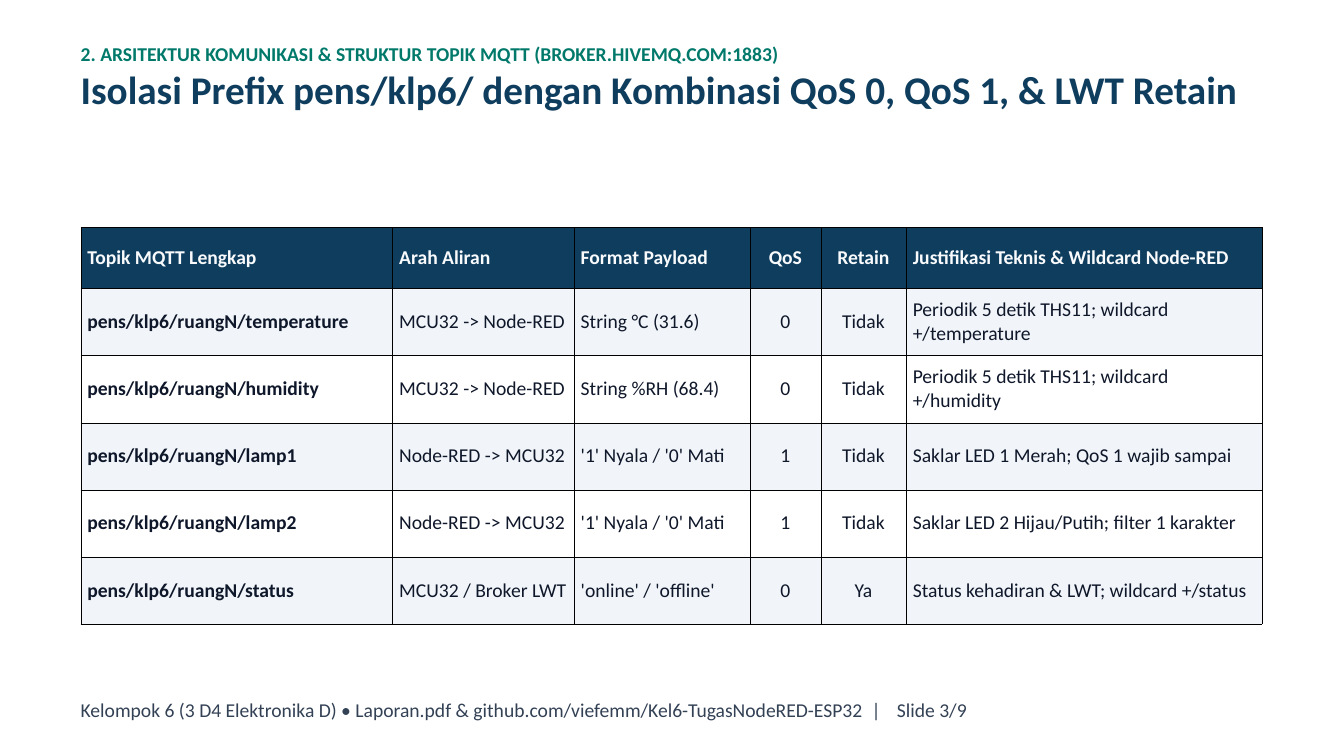
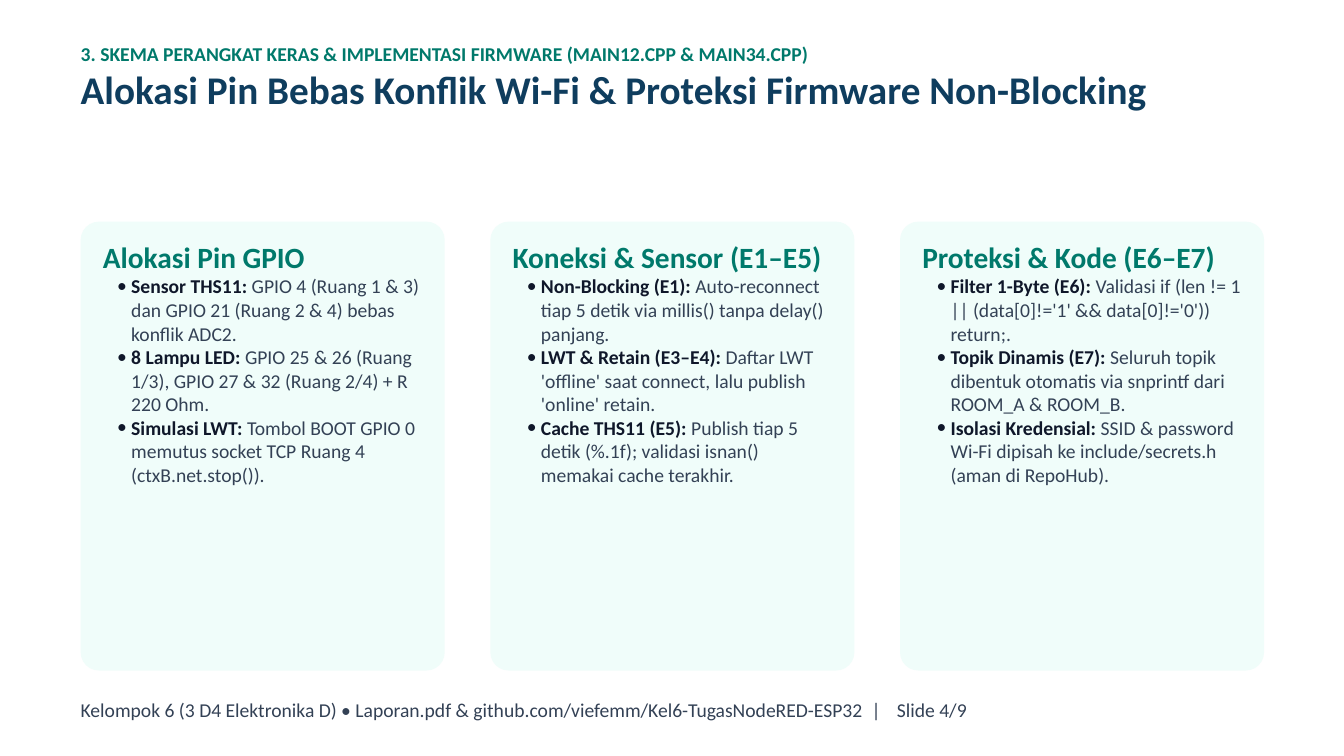
from lxml import etree
from pptx import Presentation
from pptx.dml.color import RGBColor
from pptx.enum.shapes import MSO_SHAPE
from pptx.enum.text import MSO_ANCHOR, MSO_AUTO_SIZE, PP_ALIGN
from pptx.oxml.ns import qn
from pptx.util import Cm, Pt

LEFT, CENTER = PP_ALIGN.LEFT, PP_ALIGN.CENTER
TOP, MIDDLE = MSO_ANCHOR.TOP, MSO_ANCHOR.MIDDLE
NO_AUTOFIT = MSO_AUTO_SIZE.NONE
ROUNDED = MSO_SHAPE.ROUNDED_RECTANGLE

NAVY = RGBColor(0x0F, 0x3D, 0x5E)
TEAL = RGBColor(0x00, 0x79, 0x6B)
INK = RGBColor(0x0F, 0x17, 0x2A)
SLATE = RGBColor(0x33, 0x41, 0x55)
PALE = RGBColor(0xF8, 0xFA, 0xFC)
STRIPE = RGBColor(0xF1, 0xF5, 0xF9)
MINT = RGBColor(0xF0, 0xFD, 0xFA)
WHITE = RGBColor(0xFF, 0xFF, 0xFF)

FONT = "Calibri"
BODY_SIZE, HEADING_SIZE, TITLE_SIZE = 21, 31.5, 42
LINE_RATIO = 1.2

MARGIN, CONTENT_WIDTH = 3.05, 44.73
TITLE_TOP, TITLE_HEIGHT = 1.57, 5.66
FOOTER_TOP, FOOTER_HEIGHT = 26.37, 1.02
FOOTER_TABS = (29.9, 30.85)
TABLE_TOP, HEADER_HEIGHT, ROW_HEIGHT = 8.59, 2.31, 2.54
CELL_MARGIN, BORDER_WIDTH = 0.25, 0.37
CARD_TOP, CARD_WIDTH, CARD_HEIGHT, CARD_RADIUS = 8.38, 13.76, 16.97, 0.69
CARD_PAD_X, CARD_PAD_Y = 0.84, 0.66
BULLET_INDENT, BULLET_HANG = 1.07, 0.53

TITLE_ONLY, COMPARISON = 5, 4

FOOTER = ("Kelompok 6 (3 D4 Elektronika D) • Laporan.pdf & "
          "github.com/viefemm/Kel6-TugasNodeRED-ESP32\t|\tSlide {}/9")

TOPICS_TITLE = (
    "2. ARSITEKTUR KOMUNIKASI & STRUKTUR TOPIK MQTT (BROKER.HIVEMQ.COM:1883)",
    "Isolasi Prefix pens/klp6/ dengan Kombinasi QoS 0, QoS 1, & LWT Retain",
)
TOPIC_COLUMNS = [  # heading, width, alignment
    ("Topik MQTT Lengkap", 11.79, LEFT),
    ("Arah Aliran", 6.86, LEFT),
    ("Format Payload", 6.65, LEFT),
    ("QoS", 2.67, CENTER),
    ("Retain", 3.23, CENTER),
    ("Justifikasi Teknis & Wildcard Node-RED", 13.44, LEFT),
]
TOPICS = [
    ("pens/klp6/ruangN/temperature", "MCU32 -> Node-RED", "String °C (31.6)",
     "0", "Tidak", "Periodik 5 detik THS11; wildcard +/temperature"),
    ("pens/klp6/ruangN/humidity", "MCU32 -> Node-RED", "String %RH (68.4)",
     "0", "Tidak", "Periodik 5 detik THS11; wildcard +/humidity"),
    ("pens/klp6/ruangN/lamp1", "Node-RED -> MCU32", "'1' Nyala / '0' Mati",
     "1", "Tidak", "Saklar LED 1 Merah; QoS 1 wajib sampai"),
    ("pens/klp6/ruangN/lamp2", "Node-RED -> MCU32", "'1' Nyala / '0' Mati",
     "1", "Tidak", "Saklar LED 2 Hijau/Putih; filter 1 karakter"),
    ("pens/klp6/ruangN/status", "MCU32 / Broker LWT", "'online' / 'offline'",
     "0", "Ya", "Status kehadiran & LWT; wildcard +/status"),
]

FIRMWARE_TITLE = (
    "3. SKEMA PERANGKAT KERAS & IMPLEMENTASI FIRMWARE (MAIN12.CPP & MAIN34.CPP)",
    "Alokasi Pin Bebas Konflik Wi-Fi & Proteksi Firmware Non-Blocking",
)
CARDS = [
    ("Alokasi Pin GPIO", [
        ("Sensor THS11: ",
         "GPIO 4 (Ruang 1 & 3) dan GPIO 21 (Ruang 2 & 4) bebas konflik ADC2."),
        ("8 Lampu LED: ",
         "GPIO 25 & 26 (Ruang 1/3), GPIO 27 & 32 (Ruang 2/4) + R 220 Ohm."),
        ("Simulasi LWT: ",
         "Tombol BOOT GPIO 0 memutus socket TCP Ruang 4 (ctxB.net.stop())."),
    ]),
    ("Koneksi & Sensor (E1–E5)", [
        ("Non-Blocking (E1): ",
         "Auto-reconnect tiap 5 detik via millis() tanpa delay() panjang."),
        ("LWT & Retain (E3–E4): ",
         "Daftar LWT 'offline' saat connect, lalu publish 'online' retain."),
        ("Cache THS11 (E5): ",
         "Publish tiap 5 detik (%.1f); validasi isnan() memakai cache terakhir."),
    ]),
    ("Proteksi & Kode (E6–E7)", [
        ("Filter 1-Byte (E6): ",
         "Validasi if (len != 1 || (data[0]!='1' && data[0]!='0')) return;."),
        ("Topik Dinamis (E7): ",
         "Seluruh topik dibentuk otomatis via snprintf dari ROOM_A & ROOM_B."),
        ("Isolasi Kredensial: ",
         "SSID & password Wi-Fi dipisah ke include/secrets.h (aman di RepoHub)."),
    ]),
]


def style_span(span, size, color, bold):
    span.font.name = FONT
    span.font.size = Pt(size)
    span.font.color.rgb = color
    span.font.bold = bold


def style_para(para, size, color, bold=False, align=LEFT):
    para.alignment = align
    para.line_spacing = Pt(size * LINE_RATIO)
    para.space_before = para.space_after = Pt(0)
    for span in para.runs:
        style_span(span, size, color, bold)


def place(box, left, top, width, height):
    """Position a text box or placeholder and drop its insets and autofit."""
    box.left, box.top = Cm(left), Cm(top)
    box.width, box.height = Cm(width), Cm(height)
    frame = box.text_frame
    frame.margin_left = frame.margin_right = 0
    frame.margin_top = frame.margin_bottom = 0
    frame.word_wrap = True
    frame.auto_size = NO_AUTOFIT
    frame.vertical_anchor = TOP
    return frame


def add_page(deck, layout, title, number):
    page = deck.slides.add_slide(deck.slide_layouts[layout])
    frame = place(page.shapes.title, MARGIN, TITLE_TOP, CONTENT_WIDTH, TITLE_HEIGHT)
    frame.text = "\n".join(title)
    kicker, headline = frame.paragraphs
    style_para(kicker, BODY_SIZE, TEAL, bold=True)
    style_para(headline, TITLE_SIZE, NAVY, bold=True)

    footer = page.shapes.add_textbox(0, 0, 0, 0)
    frame = place(footer, MARGIN, FOOTER_TOP, CONTENT_WIDTH, FOOTER_HEIGHT)
    frame.text = FOOTER.format(number)
    para = frame.paragraphs[0]
    style_para(para, BODY_SIZE, SLATE)
    tabs = etree.SubElement(para._p.get_or_add_pPr(), qn("a:tabLst"))
    for stop in FOOTER_TABS:
        etree.SubElement(tabs, qn("a:tab"), pos=str(Cm(stop)), algn="l")
    return page


def add_borders(cell):
    properties = cell._tc.get_or_add_tcPr()
    for side in ("lnL", "lnR", "lnT", "lnB"):
        line = etree.SubElement(properties, qn(f"a:{side}"), w=str(Pt(BORDER_WIDTH)))
        fill = etree.SubElement(line, qn("a:solidFill"))
        etree.SubElement(fill, qn("a:srgbClr"), val="000000")


def fill_cell(cell, text, fill, color, bold, align):
    cell.margin_left = cell.margin_right = Cm(CELL_MARGIN)
    cell.margin_top = cell.margin_bottom = Cm(CELL_MARGIN)
    cell.vertical_anchor = MIDDLE
    add_borders(cell)
    cell.fill.solid()
    cell.fill.fore_color.rgb = fill
    cell.text_frame.text = text
    style_para(cell.text_frame.paragraphs[0], BODY_SIZE, color, bold, align)


def add_topic_table(page):
    headings, widths, aligns = zip(*TOPIC_COLUMNS)
    rows = [headings, *TOPICS]
    height = HEADER_HEIGHT + ROW_HEIGHT * len(TOPICS)
    table = page.shapes.add_table(len(rows), len(headings), Cm(MARGIN), Cm(TABLE_TOP),
                                  Cm(sum(widths)), Cm(height)).table
    table.horz_banding = False
    for column, width in zip(table.columns, widths):
        column.width = Cm(width)
    for r, texts in enumerate(rows):
        header = r == 0
        table.rows[r].height = Cm(HEADER_HEIGHT if header else ROW_HEIGHT)
        fill = NAVY if header else STRIPE if r % 2 else WHITE
        for c, text in enumerate(texts):
            fill_cell(table.cell(r, c), text, fill, PALE if header else INK,
                      header or c == 0, aligns[c])


def add_bullet(frame, label, detail):
    para = frame.add_paragraph()
    para.level = 1
    properties = para._p.get_or_add_pPr()
    properties.set("marL", str(Cm(BULLET_INDENT)))
    properties.set("indent", str(-Cm(BULLET_HANG)))
    etree.SubElement(properties, qn("a:buFont"), typeface=FONT)
    etree.SubElement(properties, qn("a:buChar"), char="•")
    for text in (label, detail):
        para.add_run().text = text
    style_para(para, BODY_SIZE, SLATE)
    style_span(para.runs[0], BODY_SIZE, INK, True)


def add_card(page, body, left, heading, bullets):
    card = page.shapes.add_shape(ROUNDED, Cm(left), Cm(CARD_TOP),
                                 Cm(CARD_WIDTH), Cm(CARD_HEIGHT))
    card.adjustments[0] = CARD_RADIUS / CARD_WIDTH
    card.shadow.inherit = False
    card.fill.solid()
    card.fill.fore_color.rgb = MINT
    card.line.fill.background()
    body.element.addprevious(card.element)  # keeps the card behind its text

    frame = place(body, left + CARD_PAD_X, CARD_TOP + CARD_PAD_Y,
                  CARD_WIDTH - 2 * CARD_PAD_X, CARD_HEIGHT - 2 * CARD_PAD_Y)
    frame.text = heading
    para = frame.paragraphs[0]
    properties = para._p.get_or_add_pPr()
    properties.set("marL", "0")
    properties.set("indent", "0")
    etree.SubElement(properties, qn("a:buNone"))
    style_para(para, HEADING_SIZE, TEAL, bold=True)
    for label, detail in bullets:
        add_bullet(frame, label, detail)


def add_cards(page):
    bodies = [box for box in page.placeholders if box.placeholder_format.idx > 0]
    pitch = (CONTENT_WIDTH - CARD_WIDTH) / (len(CARDS) - 1)
    for i, (body, (heading, bullets)) in enumerate(zip(bodies, CARDS)):
        add_card(page, body, MARGIN + i * pitch, heading, bullets)
    for unused in bodies[len(CARDS):]:
        unused.element.getparent().remove(unused.element)


def main():
    deck = Presentation()
    deck.slide_width, deck.slide_height = Cm(50.8), Cm(28.58)
    add_topic_table(add_page(deck, TITLE_ONLY, TOPICS_TITLE, 3))
    add_cards(add_page(deck, COMPARISON, FIRMWARE_TITLE, 4))
    deck.save("out.pptx")


if __name__ == "__main__":
    main()
